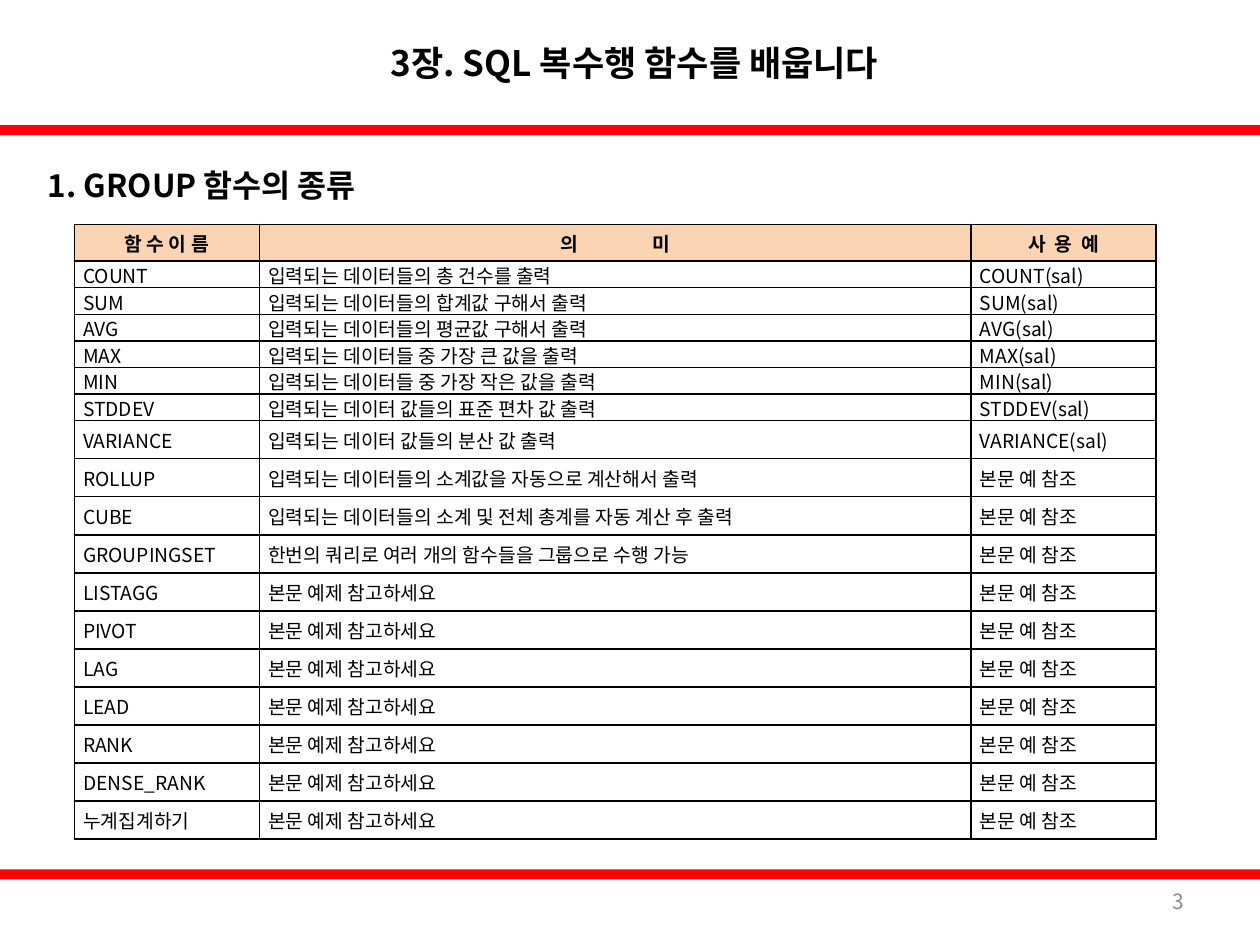
from typing import NamedTuple

from lxml.etree import SubElement as Sub
from pptx import Presentation
from pptx.dml.color import RGBColor
from pptx.enum.shapes import MSO_SHAPE as Kind
from pptx.enum.text import MSO_ANCHOR as Anchor, PP_ALIGN as Align
from pptx.oxml.ns import qn
from pptx.slide import Slide
from pptx.table import _Cell as Cell
from pptx.text.text import _Paragraph as Para
from pptx.util import Pt

FONT = "Noto Sans CJK KR"
RED = RGBColor(0xFF, 0x00, 0x00)
BLACK = RGBColor(0x00, 0x00, 0x00)
GRAY = RGBColor(0x8C, 0x8C, 0x8C)
PEACH = RGBColor(0xFB, 0xD4, 0xB4)

WIDE, HIGH = 720, 540
COLS = (105.7, 406.8, 105.7)
HEAD_H, LOW_H, TALL_H = 21, 15.2, 21.75
LOW_ROWS = 6
SEE = "본문 예제 참고하세요"
SEE_USE = "본문 예 참조"


class Box(NamedTuple):
    left: float
    top: float
    width: float
    height: float


class Label(NamedTuple):
    text: str
    box: Box
    size: float
    align: Align
    color: RGBColor = BLACK
    bold: bool = True


class Head(NamedTuple):
    text: str
    gap: float = 0


class Func(NamedTuple):
    name: str
    sense: str = SEE
    use: str = SEE_USE


BARS = (Box(0, 71.5, WIDE, 5.7), Box(0, 496.8, WIDE, 5.7))
LABELS = (
    Label("3장. SQL 복수행 함수를 배웁니다", Box(121.7, 0, 481.7, 71.3), 20, Align.CENTER),
    Label("3", Box(516, 500.4, 168, 28.8), 12, Align.RIGHT, GRAY, False),
    Label("1. GROUP 함수의 종류", Box(20.2, 82.8, 337.7, 45.4), 18, Align.LEFT),
)
HEADS = (Head("함 수 이 름"), Head("의 미", 40), Head("사 용 예", 2.5))
FUNCS = (
    Func("COUNT", "입력되는 데이터들의 총 건수를 출력", "COUNT(sal)"),
    Func("SUM", "입력되는 데이터들의 합계값 구해서 출력", "SUM(sal)"),
    Func("AVG", "입력되는 데이터들의 평균값 구해서 출력", "AVG(sal)"),
    Func("MAX", "입력되는 데이터들 중 가장 큰 값을 출력", "MAX(sal)"),
    Func("MIN", "입력되는 데이터들 중 가장 작은 값을 출력", "MIN(sal)"),
    Func("STDDEV", "입력되는 데이터 값들의 표준 편차 값 출력", "STDDEV(sal)"),
    Func("VARIANCE", "입력되는 데이터 값들의 분산 값 출력", "VARIANCE(sal)"),
    Func("ROLLUP", "입력되는 데이터들의 소계값을 자동으로 계산해서 출력"),
    Func("CUBE", "입력되는 데이터들의 소계 및 전체 총계를 자동 계산 후 출력"),
    Func("GROUPINGSET", "한번의 쿼리로 여러 개의 함수들을 그룹으로 수행 가능"),
    Func("LISTAGG"),
    Func("PIVOT"),
    Func("LAG"),
    Func("LEAD"),
    Func("RANK"),
    Func("DENSE_RANK"),
    Func("누계집계하기"),
)


def add_run(para: Para, text: str, size: float, color: RGBColor = BLACK,
            bold: bool = False, gap: float = 0) -> None:
    """Add a run; gap is extra letter spacing in points."""
    run = para.add_run()
    run.text = text
    font = run.font
    font.size, font.bold, font.name = Pt(size), bold, FONT
    font.color.rgb = color
    props = run._r.get_or_add_rPr()
    Sub(props, qn("a:ea"), typeface=FONT)
    if gap:
        props.set("spc", str(round(gap * 100)))


def add_bar(slide: Slide, box: Box) -> None:
    bar = slide.shapes.add_shape(Kind.RECTANGLE, *map(Pt, box))
    bar.shadow.inherit = False
    bar.fill.solid()
    bar.fill.fore_color.rgb = RED
    bar.line.fill.background()


def add_label(slide: Slide, label: Label) -> None:
    frame = slide.shapes.add_textbox(*map(Pt, label.box)).text_frame
    frame.word_wrap = True
    frame.vertical_anchor = Anchor.MIDDLE
    para = frame.paragraphs[0]
    para.alignment = label.align
    add_run(para, label.text, label.size, label.color, label.bold)


def set_cell(cell: Cell, align: Align) -> Para:
    """Set margins and borders, and give back the paragraph to fill."""
    cell.margin_left = cell.margin_right = Pt(5)
    cell.margin_top = cell.margin_bottom = Pt(0)
    cell.vertical_anchor = Anchor.MIDDLE
    props = cell._tc.get_or_add_tcPr()
    for side in ("lnL", "lnR", "lnT", "lnB"):
        line = Sub(props, qn(f"a:{side}"), w=str(Pt(1)))
        fill = Sub(line, qn("a:solidFill"))
        Sub(fill, qn("a:srgbClr"), val=str(BLACK))
    cell.fill.background()
    para = cell.text_frame.paragraphs[0]
    para.alignment = align
    return para


def set_head(cell: Cell, head: Head) -> None:
    para = set_cell(cell, Align.CENTER)
    cell.fill.solid()
    cell.fill.fore_color.rgb = PEACH
    if not head.gap:
        add_run(para, head.text, 11, bold=True)
        return
    for i, word in enumerate(head.text.split()):
        if i:
            add_run(para, " ", 11, bold=True, gap=head.gap)
        add_run(para, word, 11, bold=True)


def add_grid(slide: Slide) -> None:
    tall = len(FUNCS) - LOW_ROWS
    rows = [HEAD_H] + [LOW_H] * LOW_ROWS + [TALL_H] * tall
    box = Box(42.5, 128.2, sum(COLS), sum(rows))
    grid = slide.shapes.add_table(len(rows), len(COLS), *map(Pt, box)).table
    grid.first_row = grid.horz_banding = False
    for col, width in zip(grid.columns, COLS):
        col.width = Pt(width)
    for row, height in zip(grid.rows, rows):
        row.height = Pt(height)
    for c, head in enumerate(HEADS):
        set_head(grid.cell(0, c), head)
    for r, func in enumerate(FUNCS, 1):
        for c, text in enumerate(func):
            add_run(set_cell(grid.cell(r, c), Align.JUSTIFY), text, 11)


def main() -> None:
    deck = Presentation()
    deck.slide_width, deck.slide_height = Pt(WIDE), Pt(HIGH)
    slide = deck.slides.add_slide(deck.slide_layouts[6])
    for bar in BARS:
        add_bar(slide, bar)
    for label in LABELS:
        add_label(slide, label)
    add_grid(slide)
    deck.save("out.pptx")


if __name__ == "__main__":
    main()
